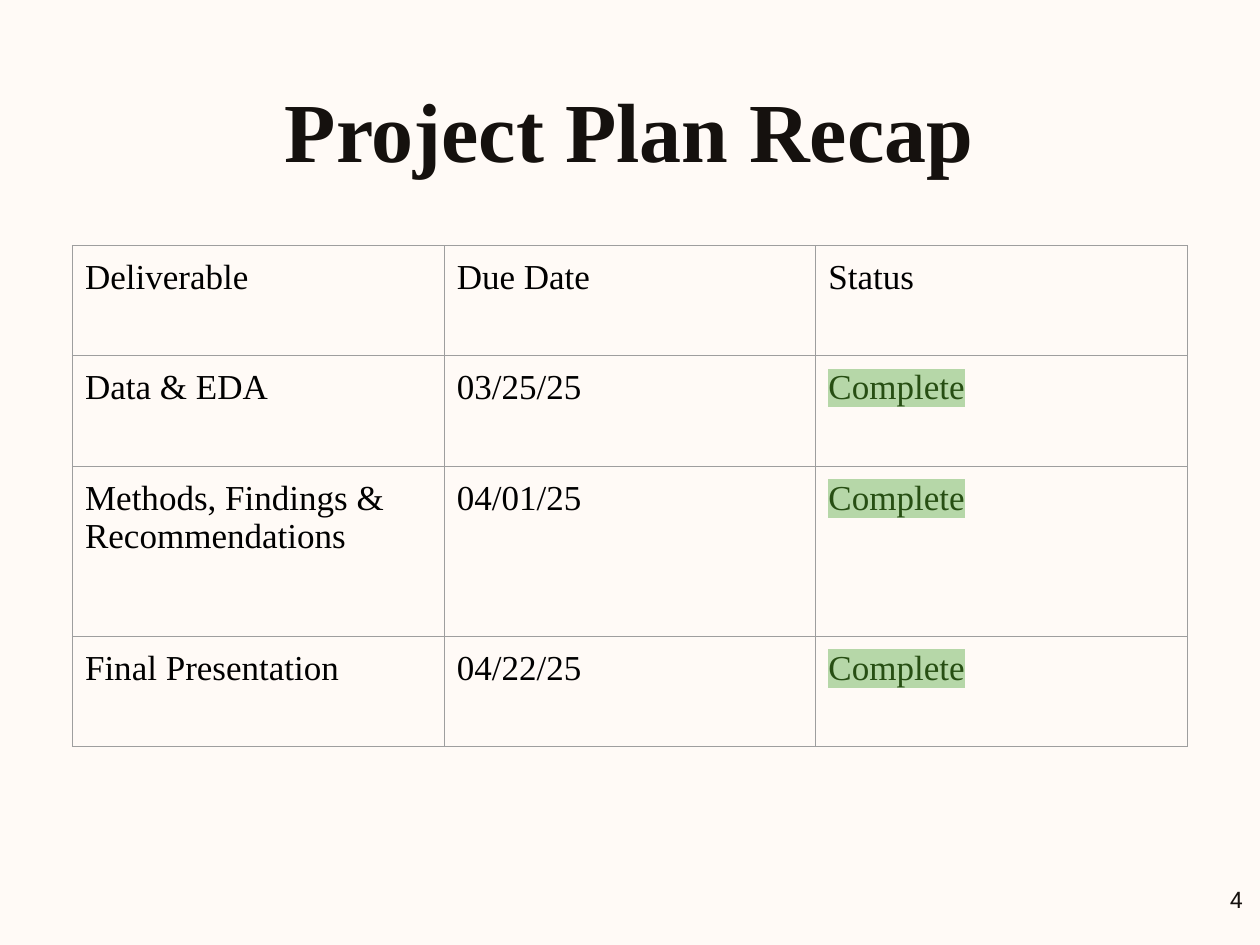
"""Build the project plan recap slide."""
import dataclasses

import lxml.etree
import pptx
import pptx.dml.color
import pptx.enum.text
import pptx.oxml.ns
import pptx.util

RGB = pptx.dml.color.RGBColor
ALIGN = pptx.enum.text.PP_ALIGN
ANCHOR = pptx.enum.text.MSO_ANCHOR
CREAM = RGB(0xFF, 0xFA, 0xF6)
INK = RGB(0x15, 0x11, 0x0E)
BLACK = RGB(0x00, 0x00, 0x00)
GREEN = RGB(0x27, 0x4E, 0x13)
MINT = RGB(0xB6, 0xD7, 0xA8)
GREY = RGB(0x9E, 0x9E, 0x9E)
SERIF = "Times New Roman"
WIDE = pptx.util.Inches(10)
HIGH = pptx.util.Inches(7.5)
PAD = pptx.util.Inches(0.1)
HEADS = ("Deliverable", "Due Date", "Status")
ROW = 0.875


@dataclasses.dataclass(frozen=True)
class Task:
    name: str
    due: str
    status: str = "Complete"
    height: float = ROW


TASKS = (
    Task("Data & EDA", "03/25/25"),
    Task("Methods, Findings & Recommendations", "04/01/25", height=1.35),
    Task("Final Presentation", "04/22/25"),
)


@dataclasses.dataclass(frozen=True)
class Box:
    left: float
    top: float
    width: float
    height: float

    def place(self) -> tuple[int, int, int, int]:
        """Turn shares of the slide into lengths."""
        return (int(self.left * WIDE), int(self.top * HIGH),
                int(self.width * WIDE), int(self.height * HIGH))


TITLE = Box(0.173, 0.068, 0.653, 0.135)
GRID = Box(0.0575, 0.26, 0.885, 0.53)
PAGE = Box(0.936, 0.924, 0.06, 0.076)


def add_node(parent, tag: str, **attrs: str):
    """Append a drawing element to its parent."""
    return lxml.etree.SubElement(parent, pptx.oxml.ns.qn(tag), attrs)


def write(frame, text: str, *, size: float = 20, font: str = SERIF,
          color: RGB = BLACK, bold: bool = False, align=ALIGN.LEFT,
          mark: RGB | None = None) -> None:
    """Put one formatted run into a text frame."""
    frame.word_wrap = True
    para = frame.paragraphs[0]
    para.alignment = align
    run = para.add_run()
    run.text = text
    run.font.size = pptx.util.Pt(size)
    run.font.name = font
    run.font.bold = bold
    run.font.color.rgb = color
    if mark is not None:
        props = run.font._element
        light = add_node(props, "a:highlight")
        add_node(light, "a:srgbClr", val=str(mark))
        props.find(pptx.oxml.ns.qn("a:solidFill")).addnext(light)


def inset(item) -> None:
    """Give a cell or text frame equal margins."""
    item.margin_left = item.margin_right = PAD
    item.margin_top = item.margin_bottom = PAD


def edge(cell) -> None:
    """Draw a thin grey line on each side of a cell."""
    props = cell._tc.get_or_add_tcPr()
    for place, side in enumerate("LRTB"):
        line = add_node(props, f"a:ln{side}", w=str(pptx.util.Pt(0.75)))
        fill = add_node(line, "a:solidFill")
        add_node(fill, "a:srgbClr", val=str(GREY))
        props.insert(place, line)


def draw_title(slide, text: str) -> None:
    """Move and format the title placeholder."""
    title = slide.shapes.title
    title.left, title.top, title.width, title.height = TITLE.place()
    frame = title.text_frame
    inset(frame)
    frame.auto_size = pptx.enum.text.MSO_AUTO_SIZE.NONE
    frame.vertical_anchor = ANCHOR.BOTTOM
    write(frame, text, size=48, color=INK, bold=True, align=ALIGN.CENTER)


def draw_plan(slide, tasks: tuple[Task, ...]) -> None:
    """Draw the heads and one table row for each task."""
    shape = slide.shapes.add_table(len(tasks) + 1, len(HEADS), *GRID.place())
    table = shape.table
    table.first_row = table.horz_banding = False
    lines = [HEADS] + [(task.name, task.due, task.status) for task in tasks]
    highs = [ROW] + [task.height for task in tasks]
    for row, high, line in zip(table.rows, highs, lines):
        row.height = pptx.util.Inches(high)
        for cell, text in zip(row.cells, line):
            inset(cell)
            cell.vertical_anchor = ANCHOR.TOP
            cell.fill.background()
            edge(cell)
            done = text == "Complete"
            write(cell.text_frame, text, color=GREEN if done else BLACK,
                  mark=MINT if done else None)


def draw_page(slide, number: int) -> None:
    """Write the page number in the lower right corner."""
    frame = slide.shapes.add_textbox(*PAGE.place()).text_frame
    inset(frame)
    frame.vertical_anchor = ANCHOR.TOP
    write(frame, str(number), size=13, font="Roboto", color=INK,
          align=ALIGN.RIGHT)


def main() -> None:
    """Build and save the deck."""
    deck = pptx.Presentation()
    deck.slide_width, deck.slide_height = WIDE, HIGH
    slide = deck.slides.add_slide(deck.slide_layouts[5])
    slide.background.fill.solid()
    slide.background.fill.fore_color.rgb = CREAM
    draw_title(slide, "Project Plan Recap")
    draw_plan(slide, TASKS)
    draw_page(slide, 4)
    deck.save("out.pptx")


if __name__ == "__main__":
    main()
